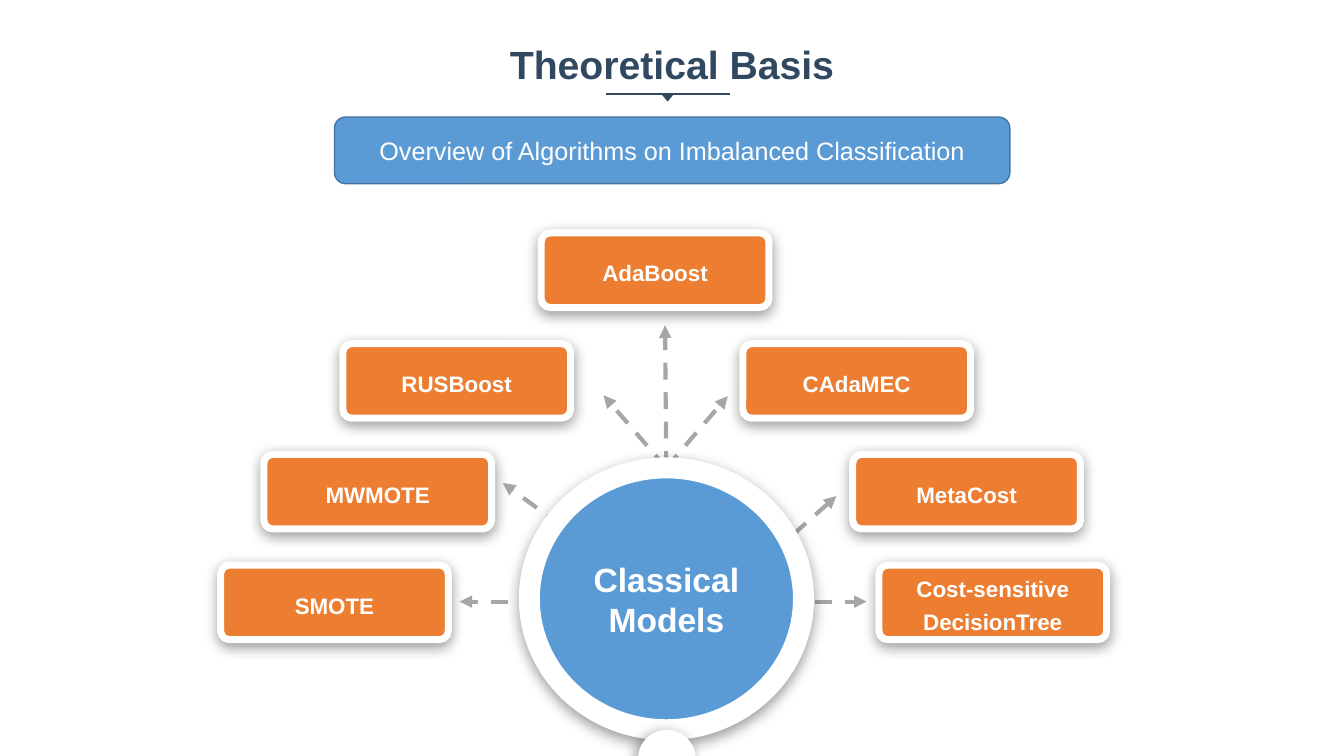
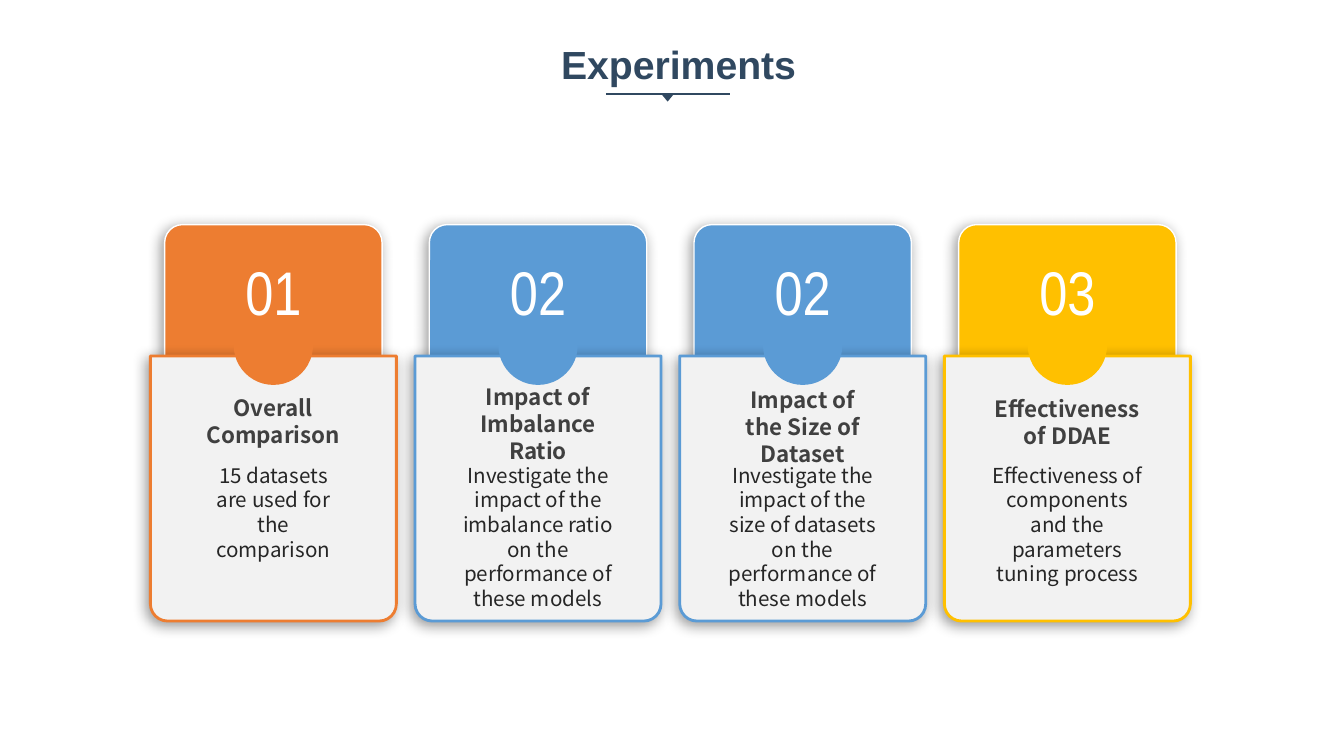
from lxml.etree import SubElement
from pptx import Presentation
from pptx.dml.color import RGBColor as RGB
from pptx.enum.dml import MSO_LINE as Dash
from pptx.enum.shapes import MSO_CONNECTOR as Conn, MSO_SHAPE as Geo
from pptx.enum.text import MSO_ANCHOR as Anchor, PP_ALIGN as Align
from pptx.oxml.ns import qn
from pptx.util import Cm, Pt

HUE = {
    "navy": "304860", "blue": "5B9BD5", "edge": "43739E", "orange": "ED7D31",
    "gold": "FFC000", "grey": "A6A6A6", "pale": "F2F2F2", "white": "FFFFFF",
    "dark": "404040", "ink": "262626",
}
SANS, SLIM, NOTO = "Arial", "Arial Narrow", "Noto Sans CJK SC"
WIDE, HIGH = 33.87, 19.05

# Algorithm boxes: name, left, row
BOXES = [
    ("SMOTE", 5.56, 3), ("MWMOTE", 6.65, 2), ("RUSBoost", 8.64, 1),
    ("AdaBoost", 13.64, 0), ("CAdaMEC", 18.72, 1), ("MetaCost", 21.49, 2),
    ("Cost-sensitive DecisionTree", 22.15, 3),
]

# Dashed arrows out of the hub: start x, start y, end x, end y
ARROWS = [
    (14.73, 13.67, 12.67, 12.17), (16.79, 11.79, 18.34, 9.98),
    (16.79, 11.79, 15.21, 9.96), (16.79, 11.79, 16.76, 8.2),
    (16.51, 15.16, 11.58, 15.16), (16.84, 15.16, 21.84, 15.16),
    (17.22, 15.93, 21.08, 12.5),
]

# Cards: number, hue, heading, its top and width, body, its width
CARDS = [
    ("01", "orange", "Overall Comparison", 9.8, 4.67,
     "15 datasets are used for the comparison", 3.78),
    ("02", "blue", "Impact of Imbalance Ratio", 9.53, 3.73,
     "Investigate the impact of the imbalance ratio on the performance "
     "of these models", 4.4),
    ("02", "blue", "Impact of the Size of Dataset", 9.6, 3.73,
     "Investigate the impact of the size of datasets on the performance "
     "of these models", 4.4),
    ("03", "gold", "Effectiveness of DDAE", 9.83, 4.39,
     "Effectiveness of components and the parameters tuning process", 4.4),
]


def tint(name):
    return RGB.from_string(HUE[name])


def write(shape, text, size, hue, font=SANS, bold=False, gap=None, wrap=True):
    frame = shape.text_frame
    frame.word_wrap = wrap
    frame.text = text
    par = frame.paragraphs[0]
    par.alignment = Align.CENTER
    if gap:
        par.line_spacing = gap
    face = par.runs[0].font
    face.name, face.size, face.bold = font, Pt(size), bold
    face.color.rgb = tint(hue)


def label(slide, mid, top, wide, high, text, *style, **more):
    """Text box centred on mid."""
    box = slide.shapes.add_textbox(Cm(mid - wide / 2), Cm(top), Cm(wide), Cm(high))
    write(box, text, *style, **more)


def block(slide, geo, at, fill, edge=None, width=1, adj=(), shade=None):
    """Filled shape; shade is the shadow's angle in degrees."""
    shape = slide.shapes.add_shape(geo, *[Cm(v) for v in at])
    for i, value in enumerate(adj):
        shape.adjustments[i] = value
    shape.fill.solid()
    shape.fill.fore_color.rgb = tint(fill)
    if edge:
        shape.line.color.rgb = tint(edge)
        shape.line.width = Pt(width)
    else:
        shape.line.fill.background()
    shape.shadow.inherit = False
    if shade is not None:
        list_ = shape._element.spPr.find(qn("a:effectLst"))
        cast = SubElement(list_, qn("a:outerShdw"), blurRad=str(Pt(10)),
                          dist=str(Pt(3)), dir=str(shade * 60000),
                          algn="ctr", rotWithShape="0")
        tone = SubElement(cast, qn("a:srgbClr"), val="000000")
        SubElement(tone, qn("a:alpha"), val="40000")
    shape.text_frame.vertical_anchor = Anchor.MIDDLE
    return shape


def rule(slide, ends, hue, width, arrow=False):
    line = slide.shapes.add_connector(Conn.STRAIGHT, *[Cm(v) for v in ends])
    line.line.color.rgb = tint(hue)
    line.line.width = Pt(width)
    if arrow:
        line.line.dash_style = Dash.DASH
        SubElement(line.line._get_or_add_ln(), qn("a:tailEnd"), type="triangle")
    SubElement(line._element.spPr, qn("a:effectLst"))


def page(deck, title, mid):
    """New slide with the title and its underline."""
    slide = deck.slides.add_slide(deck.slide_layouts[6])
    rule(slide, (15.27, 2.36, 18.39, 2.36), "navy", 1.5)
    mark = block(slide, Geo.ISOSCELES_TRIANGLE, (16.66, 2.36, 0.33, 0.2), "navy")
    mark.rotation = 180
    label(slide, mid, 0.9, 8.8, 1.45, title, 28, "navy", bold=True, wrap=False)
    return slide


def hub(slide):
    disc = block(slide, Geo.OVAL, (13.34, 11.79, 6.91, 6.6), "blue",
                 "white", 15, shade=100)
    write(disc, "Classical Models", 24, "white", bold=True)
    block(slide, Geo.ROUNDED_RECTANGLE, (16.08, 18.39, 1.45, 2.82), "white",
          adj=[0.5], shade=135)


def card(slide, mid, num, hue, head, top, span, body, room):
    block(slide, Geo.ROUNDED_RECTANGLE, (mid - 2.74, 5.66, 5.48, 5.05), hue,
          "white", adj=[0.09], shade=135)
    block(slide, Geo.ROUND_2_SAME_RECTANGLE, (mid - 3.1, 8.97, 6.2, 6.68),
          "pale", hue, 2, adj=[0, 0.07], shade=135)
    block(slide, Geo.OVAL, (mid - 1, 7.7, 2, 2), hue)
    label(slide, mid, 6.27, 3, 2.13, num, 44, "white", SLIM)
    label(slide, mid, top, span, 1.63, head, 16, "dark", NOTO, bold=True)
    label(slide, mid, 11.53, room, 4, body, 14.7, "ink", NOTO)


def theory(deck):
    slide = page(deck, "Theoretical Basis", WIDE / 2)
    for ends in ARROWS:
        rule(slide, ends, "grey", 3, arrow=True)
    bar = block(slide, Geo.ROUNDED_RECTANGLE, (8.43, 2.95, 17.02, 1.68),
                "blue", "edge")
    write(bar, "Overview of Algorithms on Imbalanced Classification", 18, "white")
    hub(slide)
    for name, left, row in BOXES:
        box = block(slide, Geo.ROUNDED_RECTANGLE,
                    (left, 5.87 + 2.79 * row, 5.74, 1.88),
                    "orange", "white", 5, adj=[0.12], shade=90)
        write(box, name, 16, "white", bold=True, gap=1.2)


def trials(deck):
    slide = page(deck, "Experiments", 17.1)
    for i, item in enumerate(CARDS):
        card(slide, 6.89 + 6.67 * i, *item)


def main():
    deck = Presentation()
    deck.slide_width, deck.slide_height = Cm(WIDE), Cm(HIGH)
    theory(deck)
    trials(deck)
    deck.save("out.pptx")


if __name__ == "__main__":
    main()
